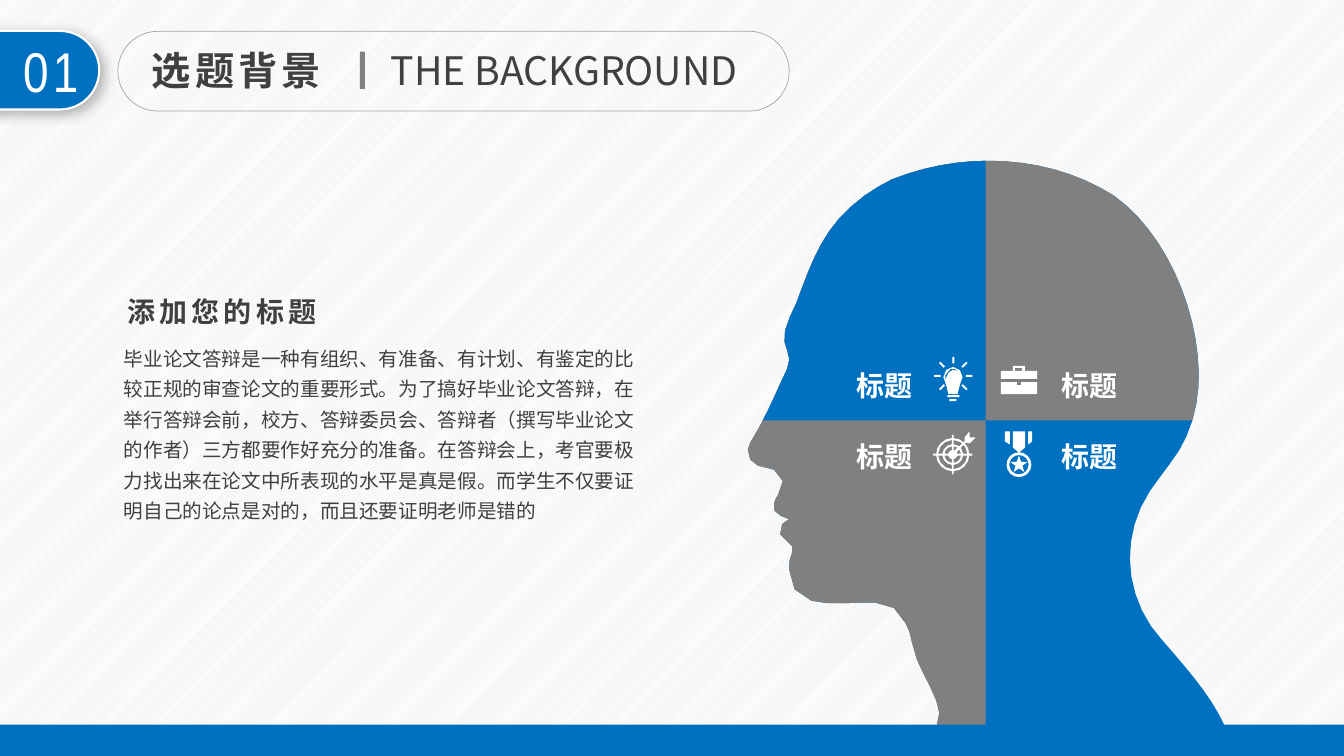
"""Build the topic background slide with a four-part head."""
from math import asin, cos, dist, pi, sin

from lxml import etree
from pptx import Presentation
from pptx.dml.color import RGBColor
from pptx.enum.dml import MSO_PATTERN
from pptx.enum.shapes import MSO_SHAPE
from pptx.enum.text import MSO_ANCHOR, PP_ALIGN
from pptx.oxml.ns import qn
from pptx.util import Cm, Pt

LEFT, MID, RIGHT = PP_ALIGN.LEFT, PP_ALIGN.CENTER, PP_ALIGN.RIGHT
TOP, CENTER = MSO_ANCHOR.TOP, MSO_ANCHOR.MIDDLE
RECT, ROUND = MSO_SHAPE.RECTANGLE, MSO_SHAPE.ROUNDED_RECTANGLE
HATCH = MSO_PATTERN.LIGHT_UPWARD_DIAGONAL
COLORS = {"blue": "0070C0", "gray": "808080", "white": "FFFFFF",
          "ink": "404040", "edge": "A6A6A6", "hatch": "D9D9D9"}
SANS = "Noto Sans CJK SC"
UNIT = Cm(0.0254)

LABEL = {"size": 20, "bold": True, "color": "white", "anchor": CENTER}
NUMBER = {"size": 40, "font": "Arial Narrow", "color": "white",
          "align": MID, "space": 3}
TEXTS = [
    ("选题背景", (3.58, 1.04, 4.98, 1.45), {"size": 28, "bold": True, "space": 3}),
    ("THE BACKGROUND", (9.6, 1.04, 9.78, 1.45), {"size": 28, "wrap": False}),
    ("毕业论文答辩是一种有组织、有准备、有计划、有鉴定的比较正规的审查论文的重要形式。"
     "为了搞好毕业论文答辩，在举行答辩会前，校方、答辩委员会、答辩者（撰写毕业论文的作者）"
     "三方都要作好充分的准备。在答辩会上，考官要极力找出来在论文中所表现的水平是真是假。"
     "而学生不仅要证明自己的论点是对的，而且还要证明老师是错的",
     (2.87, 8.43, 13.41, 4.93), {"size": 14, "font": "Arial", "lines": 1.3}),
    ("添加您的标题", (2.87, 7.29, 5.44, 1.12),
     {"size": 20, "bold": True, "align": MID, "space": 3, "wrap": False}),
]
HEAD = [
    (1153, 635), (1116, 595, 1110, 534, 1141, 487), (1147, 479, 1153, 470, 1160, 461),
    (1178, 439, 1187, 412, 1189, 384), (1193, 317, 1160, 233, 1105, 194),
    (1042, 154, 958, 149, 885, 178), (876, 182, 867, 188, 858, 194),
    (817, 224, 807, 256, 790, 301), (786, 310, 781, 319, 779, 328),
    (777, 338, 779, 342, 781, 347), (784, 354, 784, 359, 781, 366),
    (770, 389, 761, 412, 748, 433), (746, 436, 743, 441, 742, 446),
    (742, 453, 745, 460, 752, 462), (757, 464, 763, 464, 768, 466),
    (780, 472, 778, 482, 772, 491), (770, 494, 768, 497, 768, 500),
    (767, 505, 768, 509, 775, 512), (783, 515), (776, 520),
    (770, 527, 775, 534, 782, 538), (786, 541, 788, 543, 786, 548),
    (783, 554, 783, 559, 783, 565), (783, 579, 790, 593, 805, 596),
    (823, 601, 850, 597, 869, 598), (883, 599, 893, 604, 899, 619),
    (902, 625, 904, 631, 905, 638), (910, 662, 921, 674, 929, 695),
    (934, 707, 934, 720, 919, 734), (1221, 734),
    (1207, 697, 1186, 673, 1153, 635),
]
GLASS = [(945.5, 364), (951, 364, 955, 369, 955, 374), (955, 380, 950, 382, 950, 391),
         (941, 391), (941, 382, 936, 380, 936, 374), (936, 369, 940, 364, 945.5, 364)]
SHINE = [(947, 366), (951, 368), (945, 367), (941, 370), (939, 374),
         (938, 378), (938, 372), (943, 366)]
CASE = [
    [(993, 379), (1009, 379), (1009, 382), (1013, 382), (1013, 379), (1029, 379),
     (1029, 391), (993, 391)],
    [(993, 368), (1005, 368), (1005, 363), (1017, 363), (1017, 368), (1029, 368),
     (1029, 376), (993, 376)],
    [(1007, 368), (1014, 368), (1014, 365), (1007, 365)],
]
RIBBON = [
    [(997, 428), (1002, 428), (1002, 441), (997, 438)],
    [(1005, 428), (1017, 428), (1017, 444), (1011, 449), (1005, 444)],
    [(1020, 428), (1024, 428), (1024, 438), (1020, 441)],
]
DART = [(947, 447), (957, 438), (957, 434), (962, 428), (962, 434), (968, 434),
        (962, 440), (958, 439), (949, 449)]


def curve(path):
    pts = [path[0]]
    for *bend, x3, y3 in path[1:]:
        x0, y0 = pts[-1]
        if not bend:
            pts.append((x3, y3))
            continue
        x1, y1, x2, y2 = bend
        steps = max(2, round(dist((x0, y0), (x3, y3)) / 16))
        for i in range(1, steps + 1):
            t = i / steps
            u = 1 - t
            pts.append(tuple(u**3 * a + 3 * u * u * t * b + 3 * u * t * t * c + t**3 * d
                             for a, b, c, d in ((x0, x1, x2, x3), (y0, y1, y2, y3))))
    return pts


def arc(hub, rad, start=0, end=2 * pi, steps=16):
    turns = [start + (end - start) * i / steps for i in range(steps + 1)]
    return [(hub[0] + rad * cos(a), hub[1] + rad * sin(a)) for a in turns]


def ray(hub, near, far, turn):
    c, s = cos(turn), sin(turn)
    return [(hub[0] + r * c - w * s, hub[1] + r * s + w * c)
            for r, w in ((near, -1), (far, -1), (far, 1), (near, 1))]


def wedge(hub, near, far, start):
    a, b = asin(1 / near), asin(1 / far)
    end = start + pi / 2
    return arc(hub, far, start + b, end - b, 3) + arc(hub, near, end - a, start + a, 3)


def clip(pts, axis, edge):
    out = []
    for a, b in zip(pts, pts[1:] + pts[:1]):
        if a[axis] <= edge:
            out.append(a)
        if (a[axis] <= edge) != (b[axis] <= edge):
            t = (edge - a[axis]) / (b[axis] - a[axis])
            out.append(tuple(m + t * (n - m) for m, n in zip(a, b)))
    return out


def paint(shape, fill=None, line=None, width=1):
    shape.shadow.inherit = False
    for part, name in ((shape.fill, fill), (shape.line.fill, line)):
        if name:
            part.solid()
            part.fore_color.rgb = RGBColor.from_string(COLORS[name])
        else:
            part.background()
    if line:
        shape.line.width = Pt(width)
    return shape


def draw(shapes, loops, fill):
    loops = [[(x * UNIT, y * UNIT) for x, y in loop] for loop in loops]
    form = shapes.build_freeform(*loops[0][0])
    form.add_line_segments(loops[0][1:], close=True)
    for loop in loops[1:]:
        form.move_to(*loop[0])
        form.add_line_segments(loop[1:], close=True)
    paint(form.convert_to_shape(), fill)


def block(shapes, kind, box, **look):
    return paint(shapes.add_shape(kind, *map(Cm, box)), **look)


def write(shapes, text, box, look):
    frame = shapes.add_textbox(*map(Cm, box)).text_frame
    frame.word_wrap = look.get("wrap", True)
    frame.vertical_anchor = look.get("anchor", TOP)
    para = frame.paragraphs[0]
    para.alignment = look.get("align", LEFT)
    para.line_spacing = look.get("lines")
    run = para.add_run()
    run.text = text
    font = {"name": look.get("font", SANS), "size": Pt(look["size"]),
            "bold": look.get("bold", False)}
    for key, value in font.items():
        setattr(run.font, key, value)
    run.font.color.rgb = RGBColor.from_string(COLORS[look.get("color", "ink")])
    props = run._r.get_or_add_rPr()
    props.set("spc", str(look.get("space", 0) * 100))
    etree.SubElement(props, qn("a:ea"), typeface=SANS)


def main():
    deck = Presentation()
    deck.slide_width, deck.slide_height = Cm(33.87), Cm(19.05)
    slide = deck.slides.add_slide(deck.slide_layouts[6])
    back = slide.background.fill
    back.patterned()
    back.pattern = HATCH
    back.fore_color.rgb = RGBColor.from_string(COLORS["hatch"])
    back.back_color.rgb = RGBColor.from_string(COLORS["white"])
    shapes = slide.shapes

    disc, aim, lamp = (1011, 461), (945.3, 451), (945.8, 373)
    star = [arc(disc, 3.6 if i % 2 else 9, i * pi / 5 - pi / 2, steps=1)[0]
            for i in range(10)]
    medal = [*RIBBON, arc(disc, 12.3), arc(disc, 9.6), star]
    quads = [i * pi / 2 for i in range(4)]
    target = [arc(aim, 16.5), *(ray(aim, 16.5, 19.5, q) for q in quads),
              *(wedge(aim, a, b, q) for a, b in ((4.5, 8.3), (10.3, 14.5)) for q in quads)]
    bulb = [curve(GLASS), SHINE,
            *(ray(lamp, 12.5, 19, i * pi / 4) for i in range(8) if i != 2),
            ray((940, 393), 0, 12, 0), ray((942, 397), 0, 7, 0)]
    west, east, north, south = 20.19, 26.49, 8.84, 10.62
    across, down = (0, 978), (1, 417)
    fields = [([], "blue", [medal], east, south, LEFT),
              ([down], "gray", [CASE], east, north, LEFT),
              ([across], "gray", [target, [DART]], west, south, RIGHT),
              ([across, down], "blue", [bulb], west, north, RIGHT)]
    for cuts, fill, icon, x, y, align in fields:
        group = shapes.add_group_shape().shapes
        pts = curve(HEAD)
        for axis, edge in cuts:
            pts = clip(pts, axis, edge)
        draw(group, [pts], fill)
        for loops in icon:
            draw(group, loops, "white")
        write(group, "标题", (x, y, 3.07, 1.75), {**LABEL, "align": align})

    group = shapes.add_group_shape().shapes
    tab = block(group, ROUND, (-1.17, -0.91, 1.98, 5.36),
                fill="blue", line="white", width=1.5)
    tab.adjustments[0], tab.rotation = 0.5, 90
    glow = etree.SubElement(tab._element.spPr.find(qn("a:effectLst")), qn("a:outerShdw"),
                            blurRad=str(Pt(10)), dist=str(Pt(4)), dir="2700000",
                            algn="tl", rotWithShape="0")
    shade = etree.SubElement(glow, qn("a:srgbClr"), val="000000")
    etree.SubElement(shade, qn("a:alpha"), val="30000")
    write(group, "01", (0.05, 0.79, 2.46, 1.96), NUMBER)

    frame = block(shapes, ROUND, (2.97, 0.79, 16.92, 2.01), line="edge", width=0.5)
    frame.adjustments[0] = 0.5
    block(shapes, RECT, (9.07, 1.3, 0.13, 0.94), fill="gray")
    block(shapes, RECT, (0, 18.26, 33.87, 0.79), fill="blue")
    for text, box, look in TEXTS:
        write(shapes, text, box, look)
    deck.save("out.pptx")


if __name__ == "__main__":
    main()
